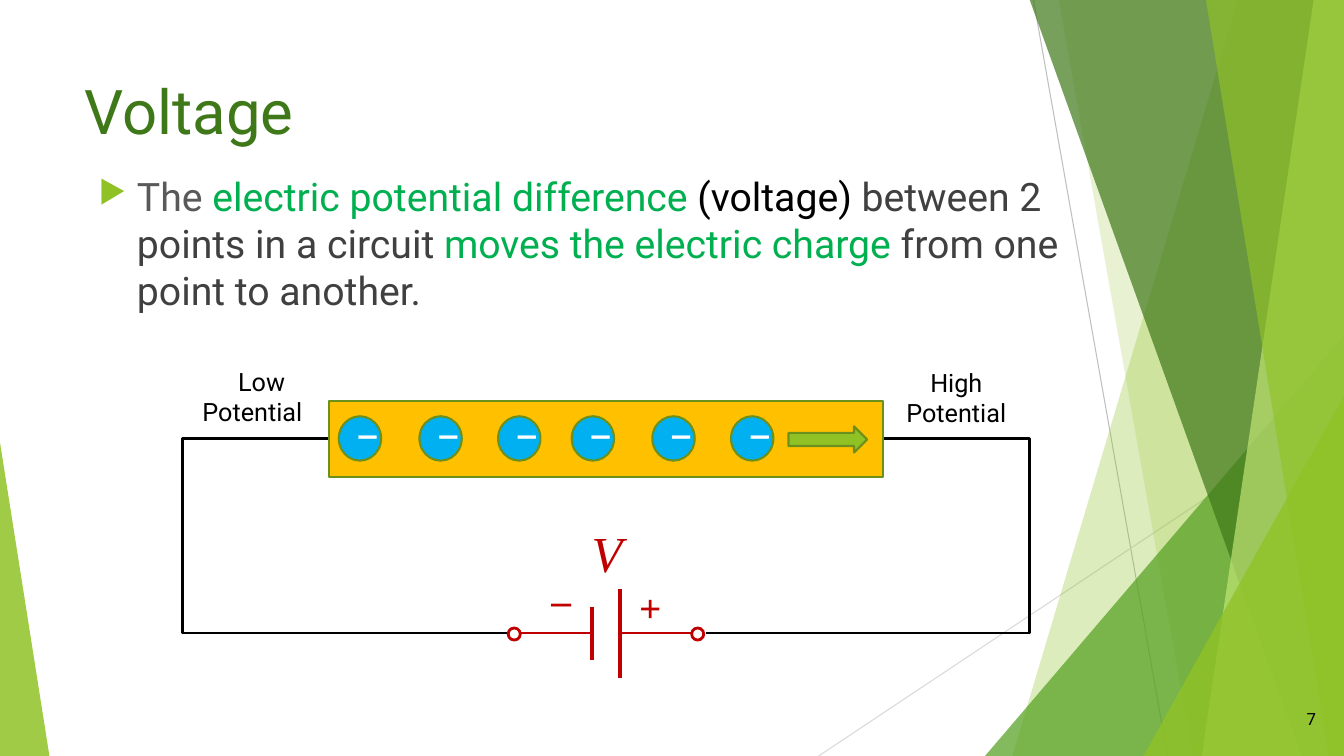
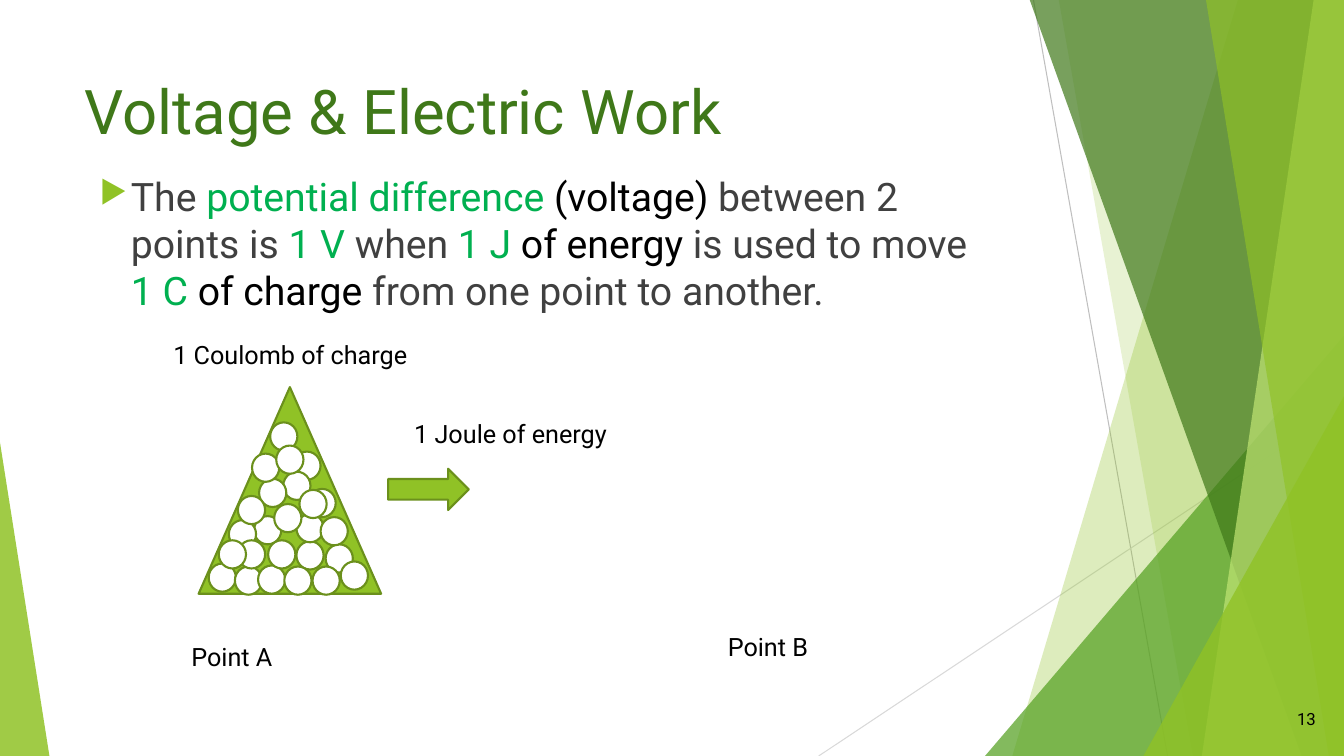
"""Build two slides on voltage with a shared faceted green backdrop."""
from lxml import etree
from pptx import Presentation
from pptx.dml.color import RGBColor
from pptx.enum.shapes import MSO_CONNECTOR, MSO_SHAPE
from pptx.enum.text import MSO_ANCHOR, PP_ALIGN
from pptx.oxml.ns import qn
from pptx.util import Pt

PX = 9144
WIDTH, HEIGHT = 1333, 750
STRAIGHT = MSO_CONNECTOR.STRAIGHT
RECTANGLE, OVAL = MSO_SHAPE.RECTANGLE, MSO_SHAPE.OVAL
TRIANGLE, ARROW = MSO_SHAPE.ISOSCELES_TRIANGLE, MSO_SHAPE.RIGHT_ARROW
LEFT, CENTER, RIGHT = PP_ALIGN.LEFT, PP_ALIGN.CENTER, PP_ALIGN.RIGHT
TOP, MIDDLE = MSO_ANCHOR.TOP, MSO_ANCHOR.MIDDLE

COLORS = {
    "lime": "90C226", "leaf": "54A021", "forest": "3F7819", "pale": "C0E474",
    "edge": "6B901C", "accent": "00B050", "text": "404040", "soft": "595959",
    "black": "000000", "white": "FFFFFF", "red": "C00000", "amber": "FFC000",
    "sky": "00B0F0", "silver": "BFBFBF", "mist": "D9D9D9",
}
STYLES = {
    "title": {"name": "Roboto", "size": Pt(44)},
    "body": {"name": "Roboto", "size": Pt(28)},
    "label": {"name": "Roboto", "size": Pt(18)},
    "number": {"name": "Roboto", "size": Pt(12)},
    "charge": {"name": "Roboto", "size": Pt(32)},
    "pole": {"name": "Times New Roman", "size": Pt(28), "bold": True},
    "symbol": {"name": "Times New Roman", "size": Pt(36), "italic": True},
}
OUTLINE = ("edge", 1.5)

BACKDROP_LINES = [((1025, 0), (1158, 750), "silver"),
                  ((1333, 403), (812, 750), "mist")]
BACKDROP_FACETS = [
    ("band", (1228, 1004), "lime", 30),
    ("band", (1050, 1183), "lime", 20),
    ("triangle", (977, 333, 356, 417, 1), "leaf", 72),
    ("band", (1021, 1291), "forest", 70),
    ("band", (1303, 1192), "pale", 70),
    ("band", (1196, 1318), "lime", 65),
    ("triangle", (1134, 393, 199, 357, 1), "lime", 80),
    ("triangle", (0, 439, 49, 311, 0), "lime", 85),
]

VOLTAGE = {
    "title": "Voltage", "number": "7",
    "body_box": (88, 166, 975, 448), "indent": 38, "hanging": 38,
    "body": [("The ", "soft"), ("electric potential difference ", "accent"),
             ("(voltage)", "black"), (" between 2 points in a circuit ", "text"),
             ("moves the electric charge", "accent"),
             (" from one point to another.", "text")],
}
WORK = {
    "title": "Voltage & Electric Work", "number": "13",
    "body_box": (39, 166, 940, 424), "indent": 81, "hanging": 31,
    "body": [("The ", "text"), ("potential difference ", "accent"),
             ("(voltage) ", "black"), ("between 2 points is ", "text"),
             ("1 V ", "accent"), ("when ", "text"), ("1 J ", "accent"),
             ("of energy ", "black"), ("is used to move ", "text"),
             ("1 C ", "accent"), ("of charge ", "black"),
             ("from one point to another.", "text")],
}

WIRES = [[(503, 628), (181, 628), (181, 435), (330, 435)],
         [(700, 628), (1021, 628), (1021, 435), (872, 435)]]
BATTERY_LINES = [((615, 673), (615, 584), 3), ((587, 655), (587, 602), 3),
                 ((616, 628), (687, 628), 2), ((586, 628), (515, 628), 2)]
TERMINALS = [504, 686]
BATTERY_TEXTS = [("+", (624, 574, 43, 57), "pole"),
                 ("_", (537, 553, 40, 57), "pole"),
                 ("V", (577, 513, 51, 71), "symbol")]
POTENTIALS = [([("High Potential", CENTER)], (880, 359, 137, 71)),
              ([("Low", CENTER), ("Potential", LEFT)], (191, 358, 137, 71))]
ELECTRONS = [336, 416, 494, 567, 647, 725]

CHARGES = [
    (207, 559), (233, 562), (294, 537), (323, 540), (256, 561), (282, 562),
    (310, 562), (338, 557), (306, 485), (252, 512), (227, 516), (236, 536),
    (266, 536), (294, 510), (318, 513), (291, 448), (281, 468), (257, 475),
    (236, 492), (217, 536), (297, 486), (272, 500), (268, 419), (250, 450),
    (274, 442),
]
WORK_LABELS = [("Point A", (180, 631, 107, 40)),
               ("Point B", (712, 621, 107, 40)),
               ("1 Coulomb of charge", (162, 332, 275, 40)),
               ("1 Joule of energy", (401, 410, 219, 40))]


def color(name):
    return RGBColor.from_string(COLORS[name])


def emu(lengths):
    return [length * PX for length in lengths]


def paint(shape, fill=None, line=None, alpha=100):
    shape.shadow.inherit = False
    if fill:
        shape.fill.solid()
        shape.fill.fore_color.rgb = color(fill)
    else:
        shape.fill.background()
    if alpha < 100:
        swatch = shape.element.spPr.find(qn("a:solidFill"))[0]
        etree.SubElement(swatch, qn("a:alpha"), val=str(alpha * 1000))
    if line:
        shape.line.color.rgb = color(line[0])
        shape.line.width = Pt(line[1])
    else:
        shape.line.fill.background()
    return shape


def add_preset(page, kind, box, fill=None, line=None, alpha=100, apex=None):
    shape = page.shapes.add_shape(kind, *emu(box))
    if apex is not None:
        shape.adjustments[0] = apex
    return paint(shape, fill, line, alpha)


def add_outline(page, points, close, **look):
    builder = page.shapes.build_freeform(*points[0], scale=PX)
    builder.add_line_segments(points[1:], close=close)
    return paint(builder.convert_to_shape(), **look)


def add_line(page, start, end, ink, width):
    line = page.shapes.add_connector(STRAIGHT, *emu(start + end))
    line.line.color.rgb = color(ink)
    line.line.width = Pt(width)
    etree.SubElement(line.element.spPr, qn("a:effectLst"))


def add_span(para, text, style, ink):
    span = para.add_run()
    span.text = text
    for attribute, value in STYLES[style].items():
        setattr(span.font, attribute, value)
    span.font.color.rgb = color(ink)


def add_text(page, lines, box, style, ink="black", wrap=True, anchor=TOP):
    frame = page.shapes.add_textbox(*emu(box)).text_frame
    frame.word_wrap = wrap
    frame.vertical_anchor = anchor
    for index, (text, alignment) in enumerate(lines):
        para = frame.add_paragraph() if index else frame.paragraphs[0]
        para.alignment = alignment
        add_span(para, text, style, ink)


def add_body(page, content):
    frame = page.shapes.add_textbox(*emu(content["body_box"])).text_frame
    frame.word_wrap = True
    para = frame.paragraphs[0]
    properties = para._p.get_or_add_pPr()
    properties.set("marL", str(content["indent"] * PX))
    properties.set("indent", str(-content["hanging"] * PX))
    tint = etree.SubElement(properties, qn("a:buClr"))
    etree.SubElement(tint, qn("a:srgbClr"), val=COLORS["lime"])
    etree.SubElement(properties, qn("a:buSzPct"), val="80000")
    etree.SubElement(properties, qn("a:buChar"), char="▶")
    for text, ink in content["body"]:
        add_span(para, text, "body", ink)


def add_backdrop(page):
    for start, end, ink in BACKDROP_LINES:
        add_line(page, start, end, ink, 0.75)
    for kind, place, fill, alpha in BACKDROP_FACETS:
        if kind == "band":
            top, bottom = place
            points = [(top, -1), (WIDTH, -1), (WIDTH, HEIGHT), (bottom, HEIGHT)]
            add_outline(page, points, True, fill=fill, alpha=alpha)
        else:
            add_preset(page, TRIANGLE, place[:4], fill, alpha=alpha, apex=place[4])


def add_page(deck, content):
    page = deck.slides.add_slide(deck.slide_layouts[6])
    add_backdrop(page)
    add_text(page, [(content["title"], LEFT)], (74, 67, 940, 144), "title", "forest")
    add_body(page, content)
    add_text(page, [(content["number"], RIGHT)], (1240, 693, 75, 40), "number",
             anchor=MIDDLE)
    return page


def draw_circuit(page):
    for points in WIRES:
        add_outline(page, points, False, line=("black", 2))
    for start, end, width in BATTERY_LINES:
        add_line(page, start, end, "red", width)
    for left in TERMINALS:
        add_preset(page, OVAL, (left, 623, 12, 12), line=("red", 2))
    for text, box, style in BATTERY_TEXTS:
        add_text(page, [(text, LEFT)], box, style, "red", wrap=False)
    add_preset(page, RECTANGLE, (326, 398, 550, 75), "amber", OUTLINE)
    for lines, box in POTENTIALS:
        add_text(page, lines, box, "label")
    for left in ELECTRONS:
        electron = add_preset(page, OVAL, (left, 413, 42, 44), "sky", OUTLINE)
        electron.text_frame.vertical_anchor = MIDDLE
        para = electron.text_frame.paragraphs[0]
        para.alignment = CENTER
        para.line_spacing = Pt(35)
        add_span(para, "−", "charge", "white")
    add_preset(page, ARROW, (782, 423, 78, 26), "lime", OUTLINE)


def draw_work(page):
    add_preset(page, TRIANGLE, (197, 384, 181, 205), "lime", OUTLINE)
    for left, top in CHARGES:
        add_preset(page, OVAL, (left, top, 27, 28), "white", OUTLINE)
    add_preset(page, ARROW, (385, 465, 80, 41), "lime", OUTLINE)
    for text, box in WORK_LABELS:
        add_text(page, [(text, LEFT)], box, "label")


def main():
    deck = Presentation()
    deck.slide_width, deck.slide_height = emu((WIDTH, HEIGHT))
    draw_circuit(add_page(deck, VOLTAGE))
    draw_work(add_page(deck, WORK))
    deck.save("out.pptx")


if __name__ == "__main__":
    main()
